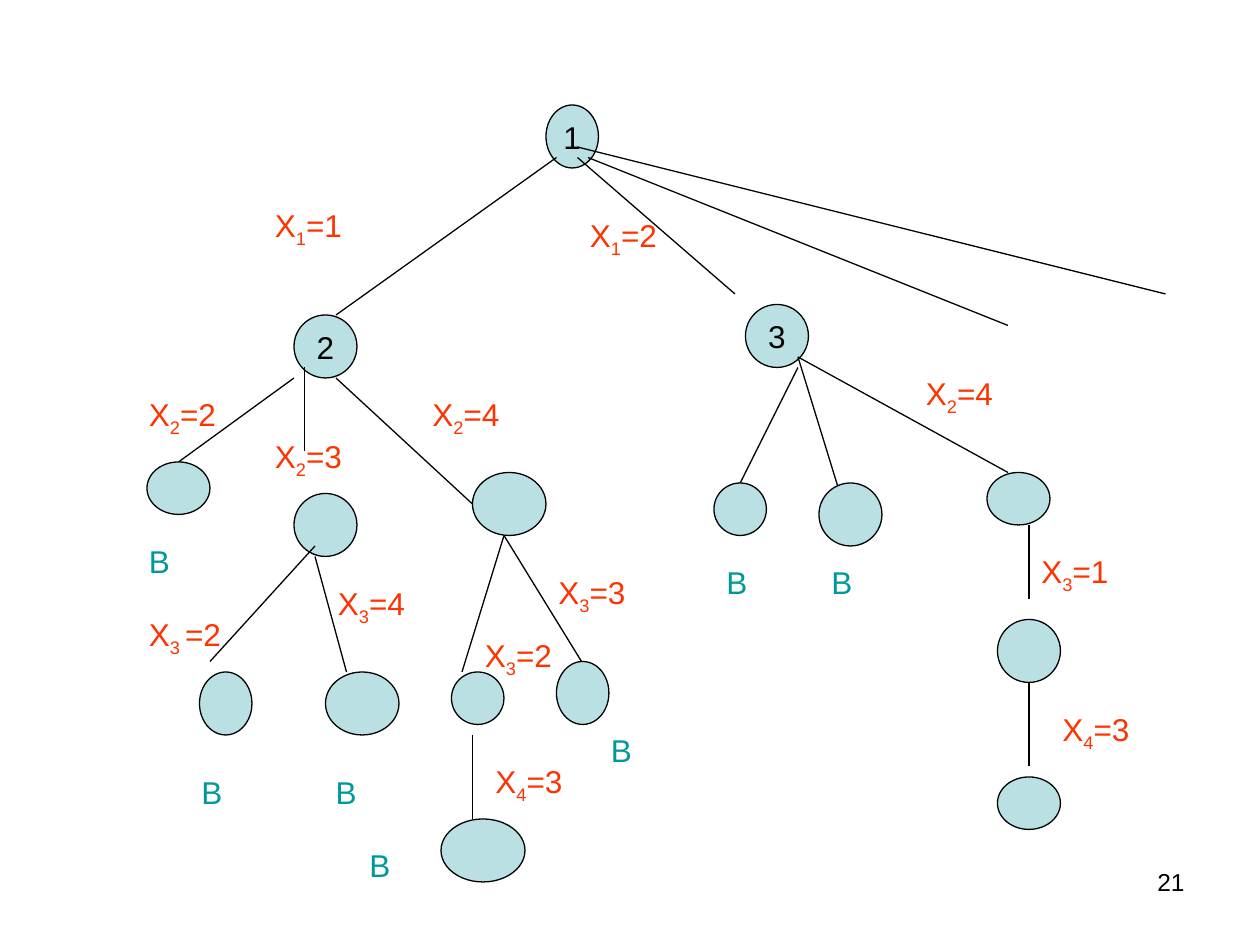
from lxml import etree
from pptx import Presentation
from pptx import util as u
from pptx.dml.color import RGBColor
from pptx.enum import shapes, text
from pptx.oxml.ns import qn

PX = 7620
BLACK, NODE_FILL, CHOICE, BOUNDED = "000000", "BBE0E3", "FF3300", "009999"


def px(*lengths):
    return [length * PX for length in lengths]


def paint(target, color):
    target.rgb = RGBColor.from_string(color)


def style_run(span, color, size=18):
    span.font.name = "Arial"
    span.font.size = u.Pt(size)
    paint(span.font.color, color)


def add_node(page, left, top, width, height, number=""):
    node = page.shapes.add_shape(shapes.MSO_SHAPE.OVAL, *px(left, top, width, height))
    node.shadow.inherit = False
    node.fill.solid()
    paint(node.fill.fore_color, NODE_FILL)
    paint(node.line.color, BLACK)
    node.line.width = u.Pt(0.75)
    if number:
        frame = node.text_frame
        frame.text = number
        frame.word_wrap = False
        frame.vertical_anchor = text.MSO_ANCHOR.MIDDLE
        para = frame.paragraphs[0]
        para.alignment = text.PP_ALIGN.CENTER
        style_run(para.runs[0], BLACK)


def add_edge(page, x1, y1, x2, y2):
    edge = page.shapes.add_connector(
        shapes.MSO_CONNECTOR.STRAIGHT, *px(x1, y1, x2, y2))
    paint(edge.line.color, BLACK)
    edge.line.width = u.Pt(0.75)
    etree.SubElement(edge._element.spPr, qn("a:effectLst"))


def add_text(page, left, top, width, height, words):
    box = page.shapes.add_textbox(*px(left, top, width, height))
    box.text_frame.word_wrap = True
    para = box.text_frame.paragraphs[0]
    para.text = words
    return para


def add_choice(page, left, top, width, index, value):
    para = add_text(page, left, top, width, 53, "X")
    subscript = para.add_run()
    subscript.text = index
    subscript._r.get_or_add_rPr().set("baseline", "-25000")
    para.add_run().text = f"={value}"
    for span in para.runs:
        style_run(span, CHOICE)


def add_bound(page, left, top, width):
    para = add_text(page, left, top, width, 48, "B")
    style_run(para.runs[0], BOUNDED)


def add_parts(page, box, inner=(), edges=(), leaves=(), choices=(), bounds=()):
    left, top = box
    for x, y, *rest in inner:
        add_node(page, left + x, top + y, *rest)
    for x1, y1, x2, y2 in edges:
        add_edge(page, left + x1, top + y1, left + x2, top + y2)
    for x, y, *rest in leaves:
        add_node(page, left + x, top + y, *rest)
    for x, y, *rest in choices:
        add_choice(page, left + x, top + y, *rest)
    for x, y, width in bounds:
        add_bound(page, left + x, top + y, width)


def add_root(page, box):
    add_parts(
        page, box,
        inner=[(270, 0, 50, 60, "1")],
        edges=[(280, 50, 70, 200), (310, 50, 710, 210),
               (300, 40, 860, 180), (300, 50, 450, 180)],
        choices=[(0, 90, 120, "1", 1), (300, 100, 110, "1", 2)])


def add_left_branch(page, box):
    add_parts(
        page, box,
        inner=[(150, 0, 60, 60, "2"), (150, 170, 60, 60), (320, 150, 70, 60)],
        edges=[(150, 60, 40, 140), (160, 50, 160, 130), (190, 60, 320, 180),
               (170, 220, 70, 330), (170, 230, 200, 340),
               (350, 210, 310, 340), (350, 210, 430, 340),
               (320, 400, 320, 480)],
        leaves=[(10, 140, 60, 50), (60, 340, 50, 60), (180, 340, 70, 60),
                (300, 340, 50, 50), (400, 330, 50, 60), (290, 480, 80, 60)],
        choices=[(0, 70, 100, "2", 2), (120, 110, 100, "2", 3),
                 (270, 70, 90, "2", 4), (0, 280, 110, "3 ", 2),
                 (180, 250, 110, "3", 4), (320, 300, 90, "3", 2),
                 (390, 240, 100, "3", 3), (330, 420, 110, "4", 3)],
        bounds=[(0, 210, 70), (50, 430, 70), (178, 430, 70),
                (210, 500, 80), (440, 390, 50)])


def add_right_branch(page, box):
    add_parts(
        page, box,
        inner=[(30, 0, 60, 60, "3"), (270, 300, 60, 60)],
        edges=[(80, 60, 20, 180), (80, 50, 120, 180), (80, 50, 280, 160),
               (300, 210, 300, 280), (300, 360, 300, 440)],
        leaves=[(0, 170, 50, 50), (100, 170, 60, 60),
                (260, 160, 60, 50), (270, 450, 60, 50)],
        choices=[(190, 60, 130, "2", 4), (300, 230, 120, "3", 1),
                 (320, 380, 100, "4", 3)],
        bounds=[(0, 240, 60), (100, 240, 60)])


def add_page_number(page, box):
    para = add_text(page, *box, "21")
    para.alignment = text.PP_ALIGN.RIGHT
    style_run(para.runs[0], BLACK, 14)


def main():
    deck = Presentation()
    deck.slide_width, deck.slide_height = px(1200, 900)
    page = deck.slides.add_slide(deck.slide_layouts[6])
    add_page_number(page, (860, 820, 280, 62))
    add_root(page, (250, 100))
    add_left_branch(page, (130, 300))
    add_right_branch(page, (680, 290))
    deck.save("out.pptx")


if __name__ == "__main__":
    main()
